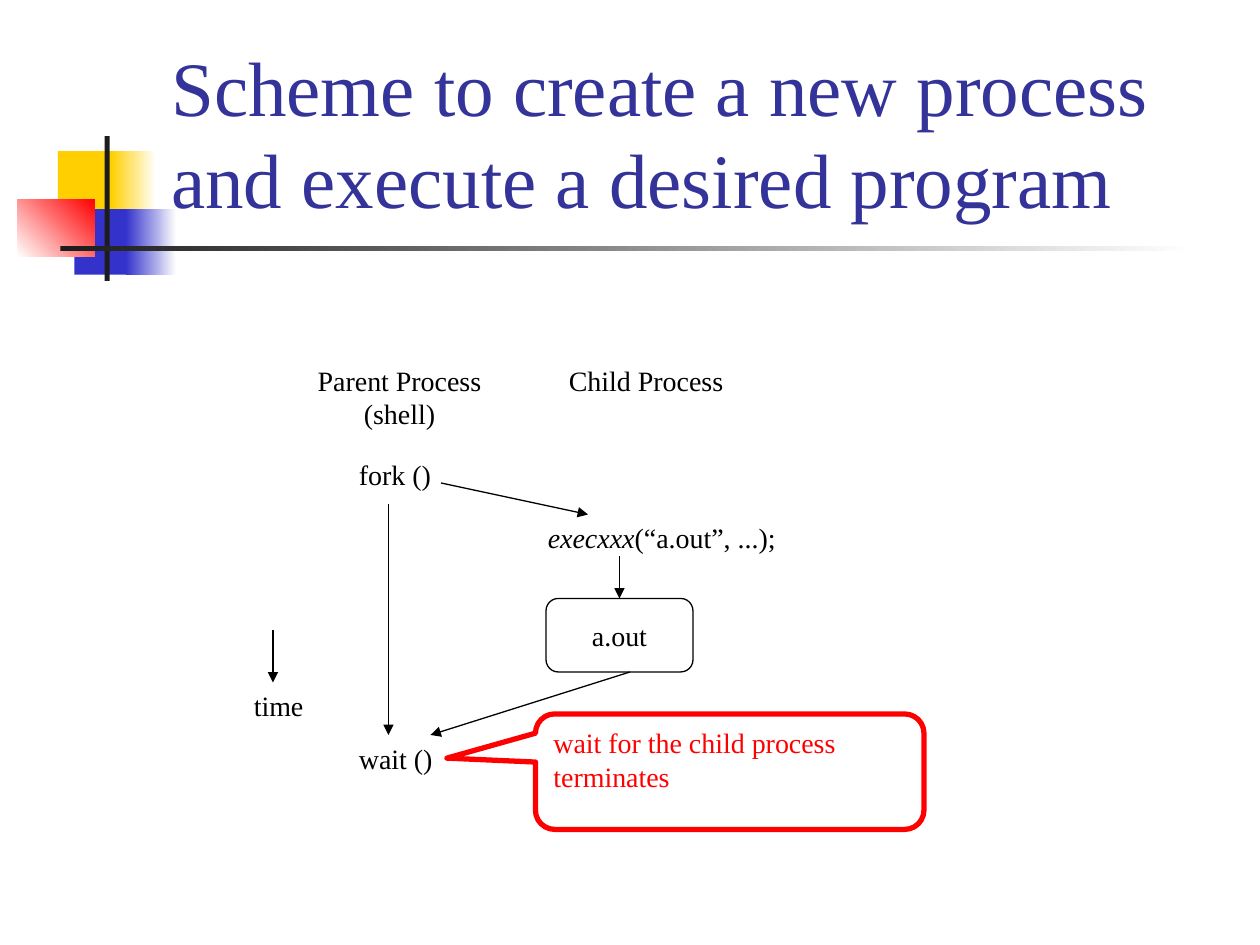
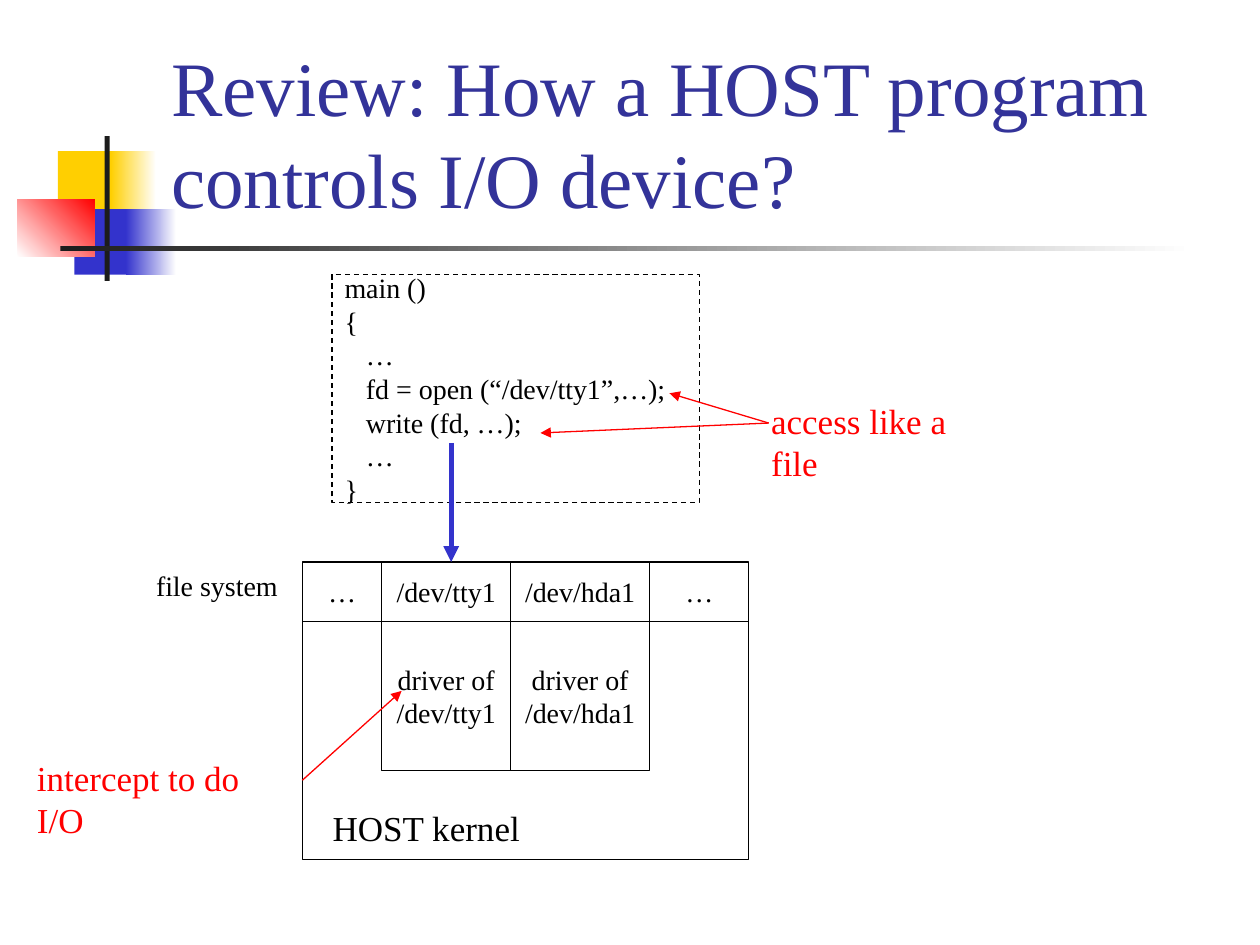
from dataclasses import dataclass
from itertools import accumulate

from lxml.etree import SubElement
from pptx import Presentation
from pptx.dml.color import RGBColor
from pptx.enum.dml import MSO_LINE
from pptx.enum.shapes import MSO_CONNECTOR, MSO_SHAPE
from pptx.enum.text import MSO_ANCHOR, MSO_AUTO_SIZE, PP_ALIGN
from pptx.oxml.ns import qn
from pptx.util import Inches, Pt


@dataclass(frozen=True)
class Theme:
    """Colours, font and type sizes of the deck."""
    font: str = "Times New Roman"
    head: str = "333399"
    ink: str = "000000"
    dark: str = "1C1C1C"
    paper: str = "FFFFFF"
    gold: str = "FFCF01"
    blue: str = "3333CC"
    red: str = "FF0000"
    title: int = 44
    large: int = 20
    small: int = 16
    thin: float = 0.75
    thick: float = 3


@dataclass(frozen=True)
class Grid:
    """A square grid with its zero point and cell size in inches."""
    left: float = 0
    top: float = 0
    cell: float = 1

    def spot(self, col, row):
        """Return the place of a grid point."""
        return (Inches(self.left + col * self.cell),
                Inches(self.top + row * self.cell))

    def area(self, col, row, cols, rows):
        """Return the left, top, width and height of a block of cells."""
        return (*self.spot(col, row),
                Inches(cols * self.cell), Inches(rows * self.cell))


T = Theme()
PAGE = Grid()
FLOW = Grid(cell=1 / 12)
STACK = Grid(left=2.4, top=4.46, cell=0.2 / 2.54)
STEP = Inches(0.17)

# Shared marks: area, first colour, last colour of a fade, angle
MARKS = [
    ((0.46, 1.2, 0.48, 0.52), T.gold, None, 0),
    ((0.88, 1.2, 0.36, 0.52), T.gold, T.paper, 0),
    ((0.59, 1.66, 0.46, 0.52), T.blue, None, 0),
    ((1, 1.66, 0.4, 0.52), T.blue, T.paper, 0),
    ((0.14, 1.58, 0.61, 0.46), T.paper, T.red, 45),
    ((0.83, 1.08, 0.04, 1.15), T.dark, None, 0),
    ((0.48, 1.95, 9, 0.04), T.dark, T.paper, 0),
]
HEAD = (1.26, 0.23, 8.52, 1.6)

# Process flow, in cells of FLOW
FORK = "Scheme to create a new process and execute a desired program"
STEPS = [
    ((23, 65, 7.2, 4.4), ["time"], {}),
    ((33, 43, 9.4, 4.4), ["fork ()"], {}),
    ((33, 70, 9.5, 4.4), ["wait ()"], {}),
    ((51, 49, 24.2, 4.4), [[("execxxx", True), ("(“a.out”, ...);", False)]], {}),
    ((29, 34, 18.1, 7.7), ["Parent Process", "(shell)"],
     {"align": PP_ALIGN.CENTER}),
    ((53, 34, 17.2, 4.4), ["Child Process"], {}),
]
PATHS = [
    ((26, 60), (26, 65)),
    ((37, 48), (37, 70)),
    ((42, 46), (56, 49)),
    ((59, 53), (59, 57)),
    ((60, 64), (41, 70)),
]
CHILD = ((52, 57, 14, 7), ["a.out"])
HINT = ((51, 68, 37, 11), ["wait for the child process terminates"])
TAIL = (-0.728, -0.117, 0.167)

# Device stack, in cells of STACK; a tab indents a line of code
DRIVE = "Review: How a HOST program controls I/O device?"
CODE = ["main ()", "{", "\t…", "\tfd = open (“/dev/tty1”,…);",
        "\twrite (fd, …);", "\t…", "}"]
SPANS = [8, 13, 14, 10]
FILES = ["…", "/dev/tty1", "/dev/hda1", "…"]
ROWS = {"files": 6, "driver": 15, "kernel": 24}
NOTES = [
    ((1.8, 24, 24, 5.5), ["HOST kernel"], {"size": T.large, "wrap": True}),
    ((-16, 0, 15, 4.7), ["file system"], {}),
    ((46, -17, 25, 5.5), ["access like a file"],
     {"size": T.large, "color": T.red, "wrap": True}),
    ((-28, 19, 28, 5.5), ["intercept to do I/O"],
     {"size": T.large, "color": T.red, "wrap": True}),
]
LINKS = [
    ((15, -12), (15, 0), T.blue, T.thick),
    ((47, -14), (37, -17), T.red, T.thin),
    ((47, -14), (24, -13), T.red, T.thin),
    ((0, 22), (10, 13), T.red, T.thin),
]


def rgb(code):
    """Turn a hex code into a colour."""
    return RGBColor.from_string(code)


def write(frame, rows, size=T.small, color=T.ink, align=PP_ALIGN.LEFT,
          anchor=MSO_ANCHOR.TOP, wrap=False, fit=False):
    """Fill a text frame with rows; a row is a string or (text, italic) runs."""
    frame.word_wrap = wrap
    frame.vertical_anchor = anchor
    frame.auto_size = (MSO_AUTO_SIZE.SHAPE_TO_FIT_TEXT if fit
                       else MSO_AUTO_SIZE.NONE)
    for num, row in enumerate(rows):
        para = frame.add_paragraph() if num else frame.paragraphs[0]
        para.alignment = align
        runs = [(row, False)] if isinstance(row, str) else row
        if runs[0][0].startswith("\t"):
            props = para._p.get_or_add_pPr()
            props.set("marL", str(STEP))
            props.set("indent", "0")
        for words, slant in runs:
            run = para.add_run()
            run.text = words.lstrip("\t")
            run.font.name = T.font
            run.font.size = Pt(size)
            run.font.italic = slant
            run.font.color.rgb = rgb(color)


def label(slide, area, rows, **form):
    """Add a text box that grows with its text."""
    box = slide.shapes.add_textbox(*area)
    write(box.text_frame, rows, fit=True, **form)


def block(slide, area, kind=MSO_SHAPE.RECTANGLE, fill=None, line=T.ink,
          width=T.thin):
    """Add a preset shape with a plain fill and outline."""
    shape = slide.shapes.add_shape(kind, *area)
    shape.shadow.inherit = False
    if fill:
        shape.fill.solid()
        shape.fill.fore_color.rgb = rgb(fill)
    else:
        shape.fill.background()
    if line:
        shape.line.color.rgb = rgb(line)
        shape.line.width = Pt(width)
    else:
        shape.line.fill.background()
    return shape


def cell(slide, area, rows, **form):
    """Add an outlined box with centred text."""
    shape = block(slide, area, **form)
    write(shape.text_frame, rows, align=PP_ALIGN.CENTER,
          anchor=MSO_ANCHOR.MIDDLE)


def arrow(slide, start, end, color=T.ink, width=T.thin):
    """Add a straight line with a head at its end."""
    line = slide.shapes.add_connector(MSO_CONNECTOR.STRAIGHT, *start, *end)
    line.line.color.rgb = rgb(color)
    line.line.width = Pt(width)
    stroke = line.element.xpath(".//a:ln")[0]
    SubElement(stroke, qn("a:tailEnd"), type="triangle")
    SubElement(stroke.getparent(), qn("a:effectLst"))


def brand(slide, layout):
    """Draw the marks once and move them to the shared layout."""
    for num, (area, first, last, angle) in enumerate(MARKS):
        mark = block(slide, PAGE.area(*area), fill=first, line=None)
        if last:
            mark.fill.gradient()
            mark.fill.gradient_angle = angle
            for stop, tone in zip(mark.fill.gradient_stops, (first, last)):
                stop.color.rgb = rgb(tone)
        mark.element.xpath(".//p:cNvPr")[0].set("id", str(50 + num))
        layout.shapes.element.append(mark.element)


def start(deck, layout, words):
    """Add a slide with its title."""
    slide = deck.slides.add_slide(layout)
    title = slide.shapes.title
    title.left, title.top, title.width, title.height = PAGE.area(*HEAD)
    write(title.text_frame, [words], size=T.title, color=T.head,
          anchor=MSO_ANCHOR.BOTTOM, wrap=True)
    return slide


def flow(slide):
    """Draw the parent and child processes over time."""
    for area, rows, form in STEPS:
        label(slide, FLOW.area(*area), rows, **form)
    area, rows = CHILD
    cell(slide, FLOW.area(*area), rows, kind=MSO_SHAPE.ROUNDED_RECTANGLE)
    for head, foot in PATHS:
        arrow(slide, FLOW.spot(*head), FLOW.spot(*foot))
    area, rows = HINT
    hint = block(slide, FLOW.area(*area), fill=T.paper, line=T.red,
                 kind=MSO_SHAPE.ROUNDED_RECTANGULAR_CALLOUT, width=T.thick)
    for num, value in enumerate(TAIL):
        hint.adjustments[num] = value
    write(hint.text_frame, rows, color=T.red, wrap=True)


def stack(slide):
    """Draw the program above the file system and the kernel."""
    code = block(slide, STACK.area(3, -29, 37, 23))
    code.line.dash_style = MSO_LINE.DASH
    write(code.text_frame, CODE, anchor=MSO_ANCHOR.MIDDLE, wrap=True)
    deep = ROWS["files"]
    for col, span, name in zip(accumulate([0] + SPANS), SPANS, FILES):
        cell(slide, STACK.area(col, 0, span, deep), [name])
        if name.startswith("/"):
            cell(slide, STACK.area(col, deep, span, ROWS["driver"]),
                 ["driver of", name])
    block(slide, STACK.area(0, deep, sum(SPANS), ROWS["kernel"]))
    for area, rows, form in NOTES:
        label(slide, STACK.area(*area), rows, **form)
    for head, foot, color, width in LINKS:
        arrow(slide, STACK.spot(*head), STACK.spot(*foot), color, width)


def main():
    """Build and save the deck."""
    deck = Presentation()
    deck.slide_width, deck.slide_height = Inches(10), Inches(7.5)
    layout = deck.slide_layouts.get_by_name("Title Only")
    for words, draw in ((FORK, flow), (DRIVE, stack)):
        slide = start(deck, layout, words)
        if len(deck.slides) == 1:
            brand(slide, layout)
        draw(slide)
    deck.save("out.pptx")


main()
